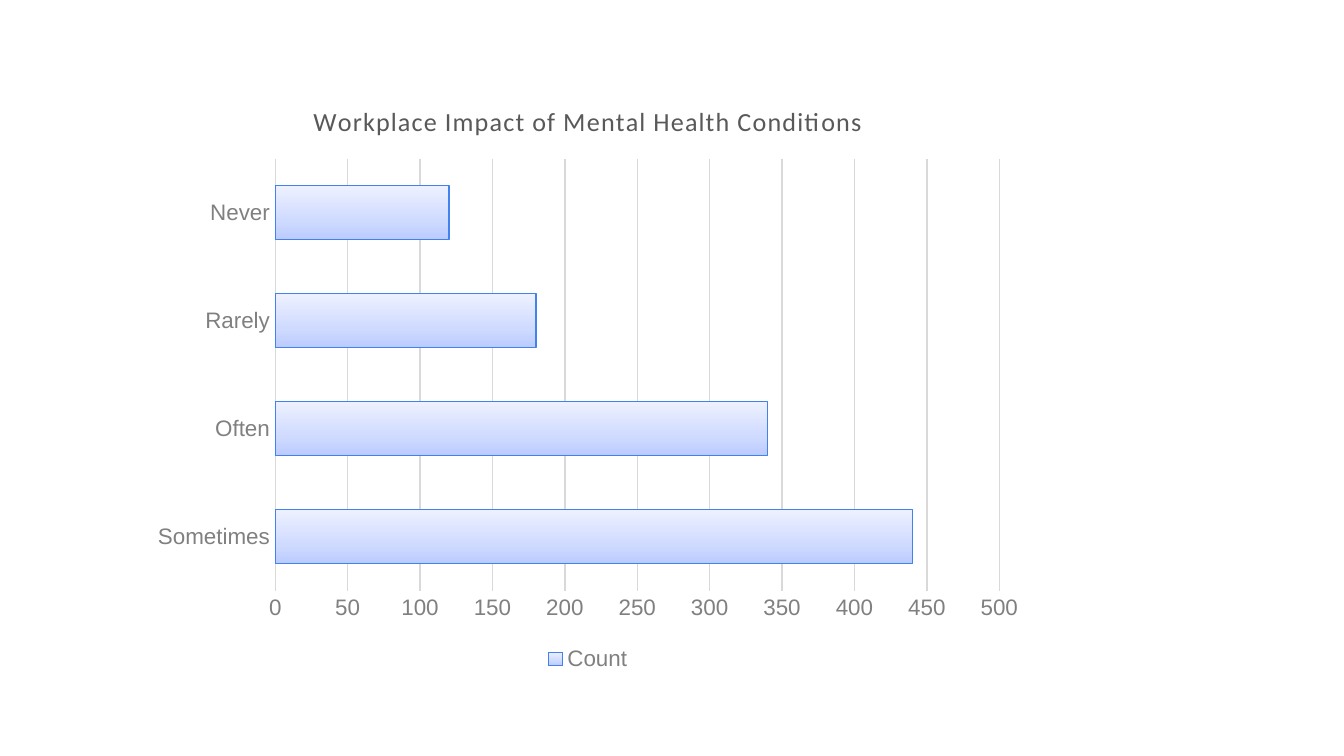
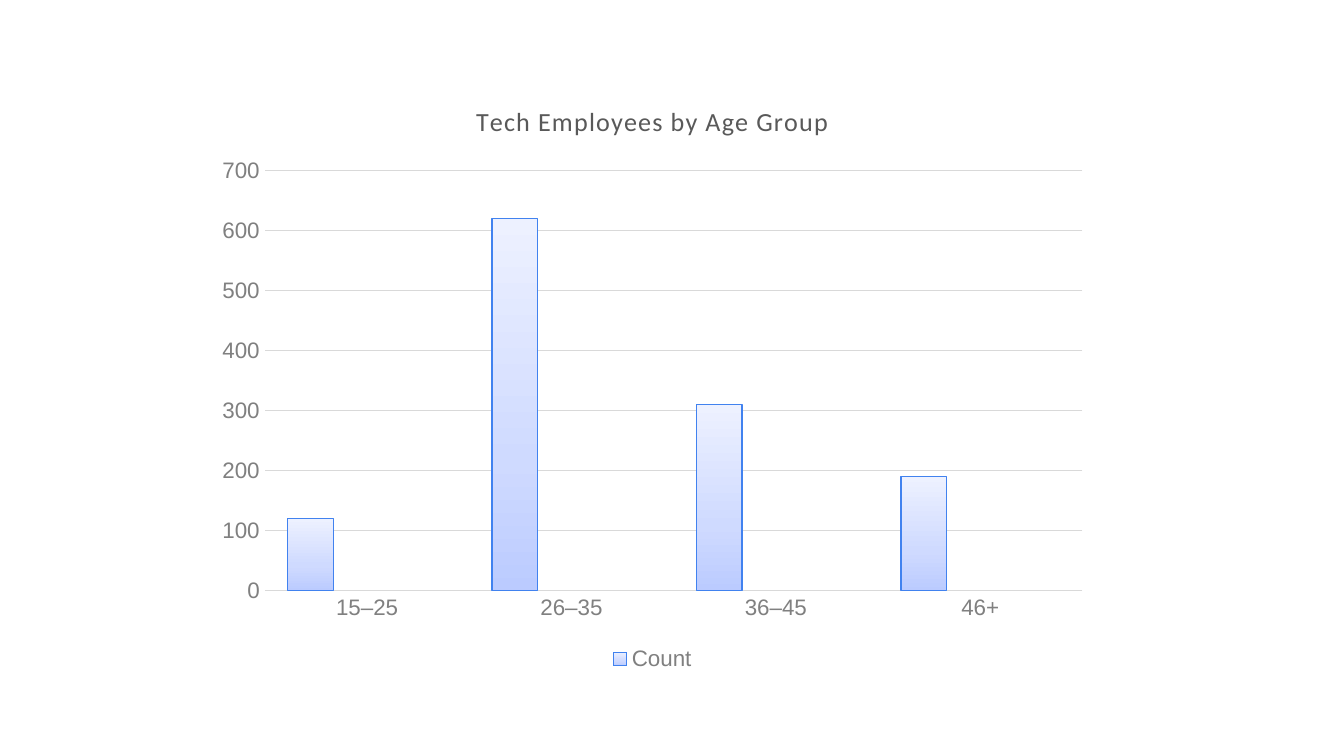
from dataclasses import dataclass

import lxml.etree
import pptx
import pptx.chart.data
import pptx.dml.color
import pptx.enum.chart
import pptx.oxml
import pptx.oxml.ns
import pptx.util

EMU_PER_PX = 9525  # 96 px to the inch
SLIDE_WIDTH, SLIDE_HEIGHT = 960, 540
CHART_TOP, CHART_WIDTH, CHART_HEIGHT = 57, 640, 426

COLORS = {
    "background": "FFFFFF",
    "text": "000000",
    "title": "595959",
    "label": "808080",
    "grid": "D9D9D9",
}
BODY_FONT, TITLE_FONT = "Arial", "Calibri"
GRADIENT_POSITIONS = (0, 35, 100)


@dataclass(frozen=True)
class SeriesStyle:
    stops: tuple[str, str, str]
    line: str


SERIES_STYLES = (
    SeriesStyle(("BBCBFF", "CFDAFF", "EDF1FF"), "4182EF"),
    SeriesStyle(("BDBDBD", "D1D1D1", "EEEEEE"), "202020"),
    SeriesStyle(("C0D4E0", "D3E0E8", "EEF3F7"), "758D99"),
)


@dataclass(frozen=True)
class BarChart:
    title: str
    left: int
    kind: pptx.enum.chart.XL_CHART_TYPE
    categories: tuple[str, ...]
    series: dict[str, tuple]
    overlap: int = 0


NO_VALUES = (None,) * 4
CHARTS = (
    BarChart(
        "Workplace Impact of Mental Health Conditions", 100,
        pptx.enum.chart.XL_CHART_TYPE.BAR_CLUSTERED,
        ("Sometimes", "Often", "Rarely", "Never"),
        {"Count": (440, 340, 180, 120)},
    ),
    BarChart(
        "Tech Employees by Age Group", 146,
        pptx.enum.chart.XL_CHART_TYPE.COLUMN_CLUSTERED,
        ("15–25", "26–35", "36–45", "46+"),
        {"Count": (120, 620, 310, 190), "Series 2": NO_VALUES, "Series 3": NO_VALUES},
        overlap=-24,
    ),
)


def px(length: int) -> pptx.util.Emu:
    return pptx.util.Emu(length * EMU_PER_PX)


def rgb(value: str) -> pptx.dml.color.RGBColor:
    return pptx.dml.color.RGBColor.from_string(value)


def format_font(font, *, size: int, color: str, name: str = BODY_FONT) -> None:
    font.size, font.name, font.bold = pptx.util.Pt(size), name, False
    font.color.rgb = rgb(color)


def write_text(text_frame, text: str, *, spacing: int = 0, **font_format) -> None:
    """Write one formatted run; spacing is in hundredths of a point."""
    run = text_frame.paragraphs[0].add_run()
    run.text = text
    format_font(run.font, **font_format)
    run.font._element.set("spc", str(spacing))


def format_line(line, color: str) -> None:
    line.color.rgb = rgb(color)
    line.width = pptx.util.Pt(0.75)


# Series fill: three stops running upwards
def format_series(series, style: SeriesStyle) -> None:
    fill = series.format.fill
    fill.gradient()
    fill.gradient_angle = 90
    stop_list = series._element.find(".//" + pptx.oxml.ns.qn("a:gsLst"))
    for stop in list(stop_list):
        stop_list.remove(stop)
    for position, color in zip(GRADIENT_POSITIONS, style.stops):
        stop = lxml.etree.SubElement(
            stop_list, pptx.oxml.ns.qn("a:gs"), pos=str(position * 1000))
        lxml.etree.SubElement(stop, pptx.oxml.ns.qn("a:srgbClr"), val=color)
    format_line(series.format.line, style.line)
    series.invert_if_negative = False


def format_axes(chart) -> None:
    for axis in (chart.category_axis, chart.value_axis):
        axis.major_tick_mark = axis.minor_tick_mark = pptx.enum.chart.XL_TICK_MARK.NONE
        format_font(axis.tick_labels.font, size=12, color=COLORS["label"])
    chart.category_axis.has_major_gridlines = False
    format_line(chart.category_axis.format.line, COLORS["grid"])
    chart.value_axis.has_major_gridlines = True
    format_line(chart.value_axis.major_gridlines.format.line, COLORS["grid"])
    chart.value_axis.format.line.fill.background()


# Legend: only the first series is listed
def add_legend(chart, series_count: int) -> None:
    chart.has_legend = True
    legend = chart.legend
    legend.position = pptx.enum.chart.XL_LEGEND_POSITION.BOTTOM
    legend.include_in_layout = False
    format_font(legend.font, size=12, color=COLORS["label"])
    for index in range(series_count - 1, 0, -1):
        entry = pptx.oxml.parse_xml(
            f'<c:legendEntry {pptx.oxml.ns.nsdecls("c")}>'
            f'<c:idx val="{index}"/><c:delete val="1"/></c:legendEntry>')
        legend._element.find(pptx.oxml.ns.qn("c:legendPos")).addnext(entry)


def add_bar_chart(slide, content: BarChart) -> None:
    data = pptx.chart.data.CategoryChartData()
    data.categories = content.categories
    for name, values in content.series.items():
        data.add_series(name, values)
    chart = slide.shapes.add_chart(
        content.kind, px(content.left), px(CHART_TOP),
        px(CHART_WIDTH), px(CHART_HEIGHT), data).chart
    format_font(chart.font, size=10, color=COLORS["text"])

    chart.has_title = True
    chart.chart_title.include_in_layout = False
    write_text(chart.chart_title.text_frame, content.title, spacing=50,
               size=14, color=COLORS["title"], name=TITLE_FONT)

    plot = chart.plots[0]
    plot.vary_by_categories = False
    plot.gap_width, plot.overlap = 100, content.overlap
    for series, style in zip(plot.series, SERIES_STYLES):
        format_series(series, style)
    format_axes(chart)
    add_legend(chart, len(content.series))


def main() -> None:
    presentation = pptx.Presentation()
    presentation.slide_width, presentation.slide_height = px(SLIDE_WIDTH), px(SLIDE_HEIGHT)
    blank_layout = presentation.slide_layouts[6]
    for content in CHARTS:
        slide = presentation.slides.add_slide(blank_layout)
        slide.background.fill.solid()
        slide.background.fill.fore_color.rgb = rgb(COLORS["background"])
        add_bar_chart(slide, content)
    presentation.save("out.pptx")


if __name__ == "__main__":
    main()
